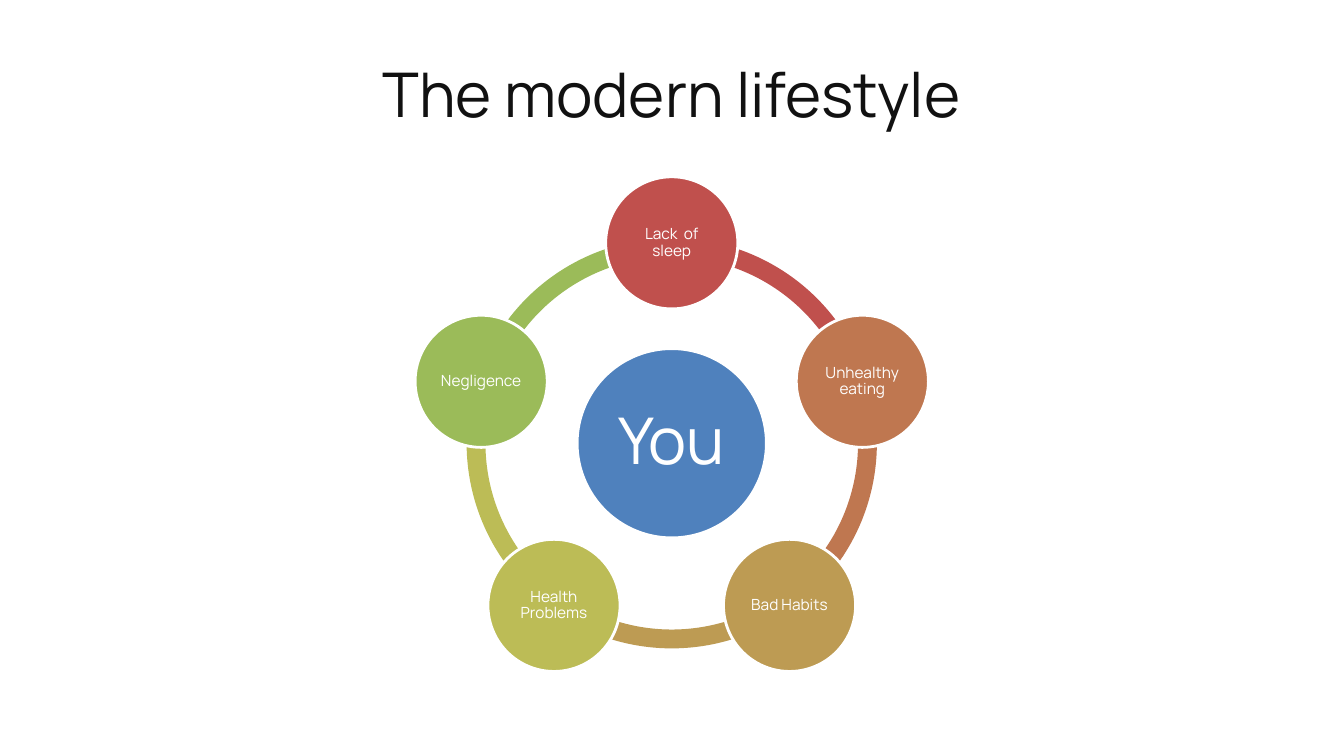
from dataclasses import dataclass
from math import cos, radians, sin

from pptx import Presentation
from pptx.dml.color import RGBColor
from pptx.enum.shapes import MSO_AUTO_SHAPE_TYPE as ShapeKind
from pptx.enum.text import MSO_VERTICAL_ANCHOR as Anchor, PP_PARAGRAPH_ALIGNMENT as Align
from pptx.shapes.autoshape import Shape
from pptx.slide import Slide
from pptx.util import Cm, Pt

COLOURS = {
    "ink": "111111",
    "white": "FFFFFF",
    "blue": "4F81BD",
    "red": "C0504D",
    "copper": "BF7750",
    "gold": "BD9B53",
    "olive": "BCBC56",
    "green": "9BBB59",
}
FONT = "Manrope"

# Lengths in centimetres
CENTRE_X, CENTRE_Y = 16.93, 11.17
ORBIT_RADIUS = 5.05
RING_SIZE = 10.34
HUB_SIZE = 4.77
CAUSE_SIZE = 3.33
RING_THICKNESS = 0.046
TOP_ANGLE = 270


@dataclass
class Disc:
    label: str
    colour: str
    size: float
    font_size: float
    inset: float
    x: float = CENTRE_X
    y: float = CENTRE_Y


CAUSES = [
    ("Lack  of sleep", "red"),
    ("Unhealthy eating", "copper"),
    ("Bad Habits", "gold"),
    ("Health Problems", "olive"),
    ("Negligence", "green"),
]
STEP = 360 / len(CAUSES)


def rgb(name: str) -> RGBColor:
    return RGBColor.from_string(COLOURS[name])


def set_text(box: Shape, text: str, size: float, colour: str, inset: float,
             line_spacing: float) -> None:
    frame = box.text_frame
    margins = {f"margin_{side}": Cm(inset) for side in ("left", "top", "right", "bottom")}
    frame_format = {"word_wrap": True, "vertical_anchor": Anchor.MIDDLE, **margins}
    for name, value in frame_format.items():
        setattr(frame, name, value)

    para = frame.paragraphs[0]
    para_format = {"alignment": Align.CENTER, "line_spacing": line_spacing}
    for name, value in para_format.items():
        setattr(para, name, value)

    span = para.add_run()
    span.text = text
    font_format = {"name": FONT, "size": Pt(size), "bold": False}
    for name, value in font_format.items():
        setattr(span.font, name, value)
    span.font.color.rgb = rgb(colour)


def add_centred_shape(page: Slide, kind: ShapeKind, x: float, y: float,
                      size: float, colour: str) -> Shape:
    shape = page.shapes.add_shape(
        kind, Cm(x - size / 2), Cm(y - size / 2), Cm(size), Cm(size))
    shape.shadow.inherit = False
    shape.fill.solid()
    shape.fill.fore_color.rgb = rgb(colour)
    return shape


def add_ring_arc(page: Slide, start: float, colour: str) -> None:
    """Draw one step of the ring, clockwise from the start angle in degrees."""
    arc = add_centred_shape(
        page, ShapeKind.BLOCK_ARC, CENTRE_X, CENTRE_Y, RING_SIZE, colour)
    arc.line.fill.background()
    # Angles are stored in 60000ths of a degree, adjustments in 100000ths
    arc.adjustments[0] = start % 360 * 0.6
    arc.adjustments[1] = (start + STEP) % 360 * 0.6
    arc.adjustments[2] = RING_THICKNESS


def add_disc(page: Slide, disc: Disc) -> None:
    circle = add_centred_shape(
        page, ShapeKind.OVAL, disc.x, disc.y, disc.size, disc.colour)
    circle.line.color.rgb = rgb("white")
    circle.line.width = Pt(2)
    set_text(circle, disc.label, disc.font_size, "white", disc.inset, 0.9)


def add_title(page: Slide, text: str) -> None:
    title = page.shapes.title
    place = {"left": Cm(1.69), "top": Cm(0.76), "width": Cm(30.48), "height": Cm(3.18)}
    for name, value in place.items():
        setattr(title, name, value)
    set_text(title, text, 44, "ink", 0.25, 1.0)


def main() -> None:
    deck = Presentation()
    deck.slide_width, deck.slide_height = Cm(33.87), Cm(19.05)
    page = deck.slides.add_slide(deck.slide_layouts[5])
    add_title(page, "The modern lifestyle")

    angles = [TOP_ANGLE + STEP * index for index in range(len(CAUSES))]
    for angle, (_, colour) in reversed(list(zip(angles, CAUSES))):
        add_ring_arc(page, angle, colour)

    add_disc(page, Disc("You", "blue", HUB_SIZE, 46, 0.15))
    for angle, (label, colour) in zip(angles, CAUSES):
        x = CENTRE_X + ORBIT_RADIUS * cos(radians(angle))
        y = CENTRE_Y + ORBIT_RADIUS * sin(radians(angle))
        add_disc(page, Disc(label, colour, CAUSE_SIZE, 11, 0.05, x, y))

    deck.save("out.pptx")


if __name__ == "__main__":
    main()
